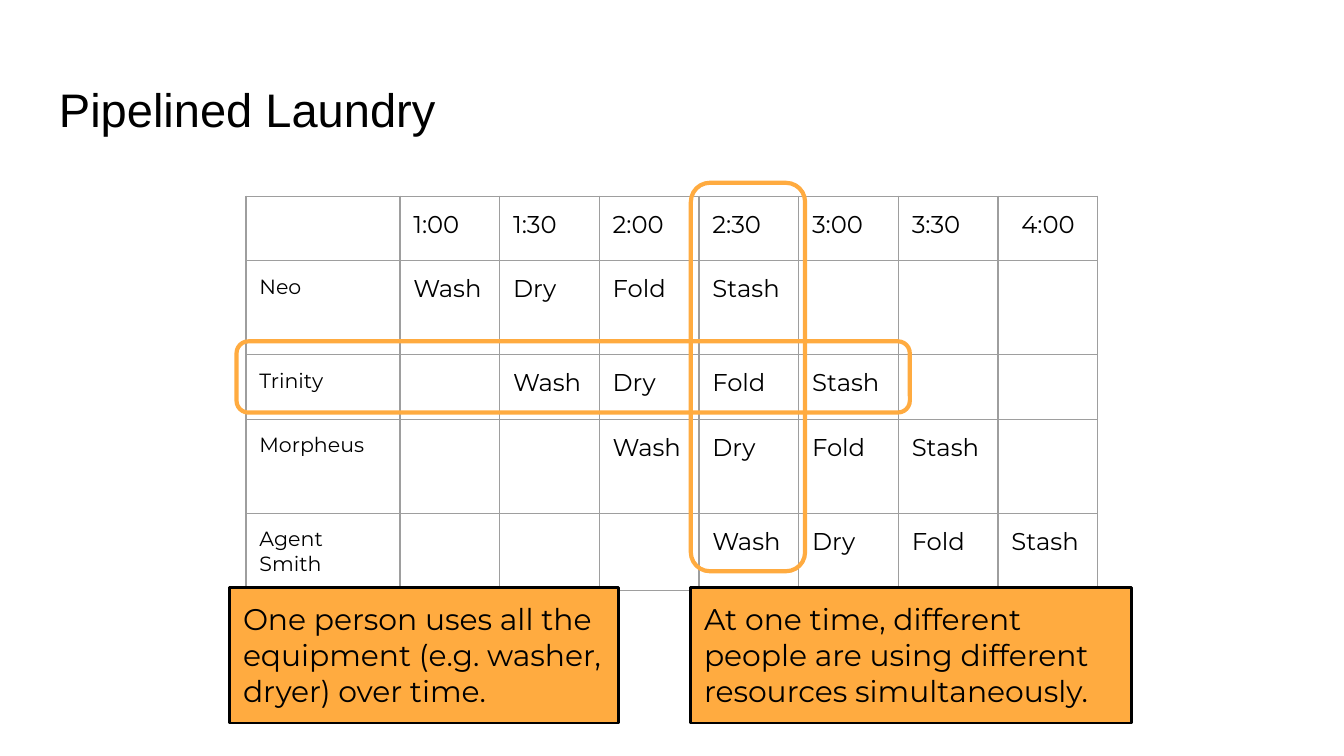
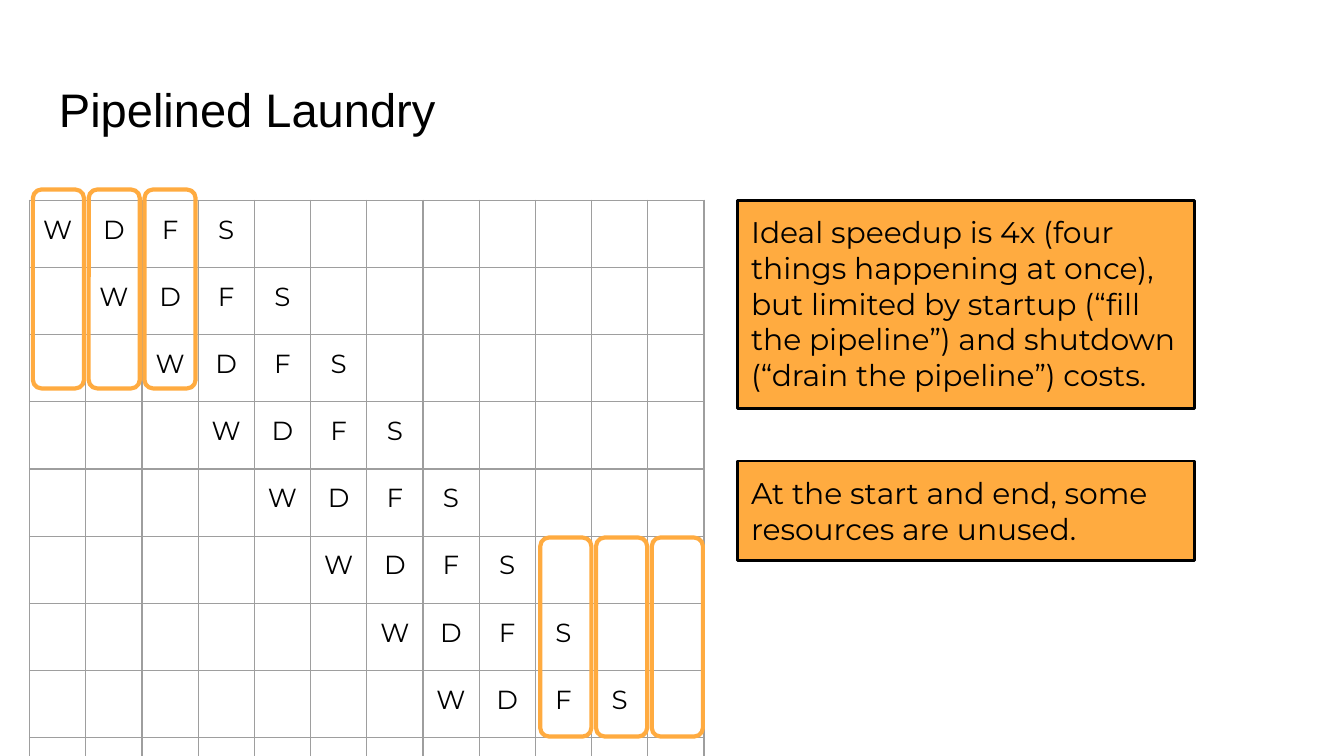
from dataclasses import dataclass

from lxml.etree import SubElement
from pptx import Presentation
from pptx.dml.color import RGBColor
from pptx.enum.shapes import MSO_SHAPE
from pptx.enum.text import MSO_ANCHOR, PP_ALIGN
from pptx.oxml.ns import qn
from pptx.util import Inches, Pt


@dataclass(frozen=True)
class Theme:
    wide: int = Inches(10)
    high: int = Inches(10 * 9 / 16)
    ink: str = "000000"
    amber: str = "FFAB40"
    rule: str = "9E9E9E"
    head: str = "Arial"
    body: str = "Montserrat"
    title: float = 25.2
    note: float = 16
    name: float = 11
    step: float = 13
    mark: float = 14
    grid: float = 0.75
    edge: float = 1.5
    ring: float = 2.25
    pad: int = Inches(0.1)


T = Theme()
STEPS = ["Wash", "Dry", "Fold", "Stash"]
SIDES = ("left", "right", "top", "bottom")


# Helpers
def place(x, y, w, h):
    """Turn percentages of the slide's size into lengths."""
    return [int(share * size / 100)
            for share, size in zip((x, y, w, h), (T.wide, T.high) * 2)]


def apply(item, form):
    for key, value in form.items():
        setattr(item, key, value)


def pads(across=T.pad):
    return {f"margin_{side}": across if side in SIDES[:2] else T.pad
            for side in SIDES}


def write(frame, text, size, font=T.body, align=PP_ALIGN.LEFT):
    para = frame.paragraphs[0]
    para.alignment = align
    run = para.add_run()
    run.text = text
    apply(run.font, {"size": Pt(size), "name": font})
    run.font.color.rgb = RGBColor.from_string(T.ink)


def outline(shape, color, width):
    shape.shadow.inherit = False
    shape.line.color.rgb = RGBColor.from_string(color)
    shape.line.width = Pt(width)


# Kinds of element
def title(slide, text):
    frame = slide.shapes.add_textbox(*place(3.4, 8.71, 93.2, 11.2)).text_frame
    apply(frame, pads() | {"word_wrap": True,
                           "vertical_anchor": MSO_ANCHOR.BOTTOM})
    write(frame, text, T.title, T.head)


def note(slide, area, text):
    shape = slide.shapes.add_shape(MSO_SHAPE.RECTANGLE, *place(*area))
    shape.fill.solid()
    shape.fill.fore_color.rgb = RGBColor.from_string(T.amber)
    outline(shape, T.ink, T.edge)
    apply(shape.text_frame, pads() | {"word_wrap": True,
                                      "vertical_anchor": MSO_ANCHOR.TOP})
    write(shape.text_frame, text, T.note)


def ring(slide, area):
    shape = slide.shapes.add_shape(MSO_SHAPE.FLOWCHART_ALTERNATE_PROCESS,
                                   *place(*area))
    shape.fill.background()
    outline(shape, T.amber, T.ring)


def border(cell):
    cell.fill.background()
    props = cell._tc.get_or_add_tcPr()
    for spot, side in enumerate("LRTB"):
        line = SubElement(props, qn(f"a:ln{side}"), w=str(Pt(T.grid)))
        fill = SubElement(line, qn("a:solidFill"))
        SubElement(fill, qn("a:srgbClr"), val=T.rule)
        props.insert(spot, line)


def table(slide, x, y, cols, rows, data, style):
    """Draw a table; style gives size, alignment and side margin by cell."""
    area = place(x, y, sum(cols), sum(rows))
    grid = slide.shapes.add_table(len(rows), len(cols), *area).table
    apply(grid, {"first_row": False, "horz_banding": False})
    for col, share in zip(grid.columns, cols):
        col.width = int(share * T.wide / 100)
    for row, share in zip(grid.rows, rows):
        row.height = int(share * T.high / 100)
    for r, line in enumerate(data):
        for c, text in enumerate(line):
            cell = grid.cell(r, c)
            border(cell)
            if text:
                size, align, across = style(r, c)
                apply(cell, pads(across))
                write(cell.text_frame, text, size, align=align)


def stair(count, width, steps):
    """Rows in which the steps start one column later each time."""
    return [[steps[c - r] if 0 <= c - r < len(steps) else ""
             for c in range(width)] for r in range(count)]


# Slides
def times(slide):
    hours = ["1:00", "1:30", "2:00", "2:30", "3:00", "3:30", "4:00"]
    names = ["Neo", "Trinity", "Morpheus", "Agent Smith"]
    plan = stair(len(names), len(hours), STEPS)
    data = [["", *hours]] + [[who, *row] for who, row in zip(names, plan)]

    def style(r, c):
        if (r, c) == (0, len(hours)):
            return T.step, PP_ALIGN.CENTER, Inches(0.03)
        return T.step if c else T.name, PP_ALIGN.LEFT, T.pad

    table(slide, 18.3, 25.96, [11.46] + [7.42] * len(hours),
          [8.55, 12.44, 8.55, 12.44, 10.2], data, style)
    title(slide, "Pipelined Laundry")
    note(slide, (17.1, 77.69, 28.9, 17.96),
         "One person uses all the equipment (e.g. washer, dryer) over time.")
    ring(slide, (17.6, 45.16, 50.1, 9.42))
    note(slide, (51.4, 77.69, 32.8, 17.96),
         "At one time, different people are using different resources "
         "simultaneously.")
    ring(slide, (51.4, 24.18, 8.5, 51.38))


def speedup(slide):
    count, width = 9, 12
    title(slide, "Pipelined Laundry")
    note(slide, (54.9, 26.49, 34, 27.56),
         "Ideal speedup is 4x (four things happening at once), but limited by "
         "startup (“fill the pipeline”) and shutdown (“drain the pipeline”) "
         "costs.")
    table(slide, 2.2, 26.49, [50.2 / width] * width, [8.89] * count,
          stair(count, width, [step[0] for step in STEPS]),
          lambda r, c: (T.mark, PP_ALIGN.CENTER, T.pad))
    note(slide, (54.9, 60.98, 34, 13.16),
         "At the start and end, some resources are unused.")
    # Columns where the pipeline fills, then drains
    for x, y in ((2.45, 25.07), (40.2, 71.11)):
        for col in range(3):
            ring(slide, (x + 4.15 * col, y, 3.8, 26.31))


def main():
    deck = Presentation()
    apply(deck, {"slide_width": T.wide, "slide_height": T.high})
    for build in (times, speedup):
        build(deck.slides.add_slide(deck.slide_layouts[6]))
    deck.save("out.pptx")


if __name__ == "__main__":
    main()
